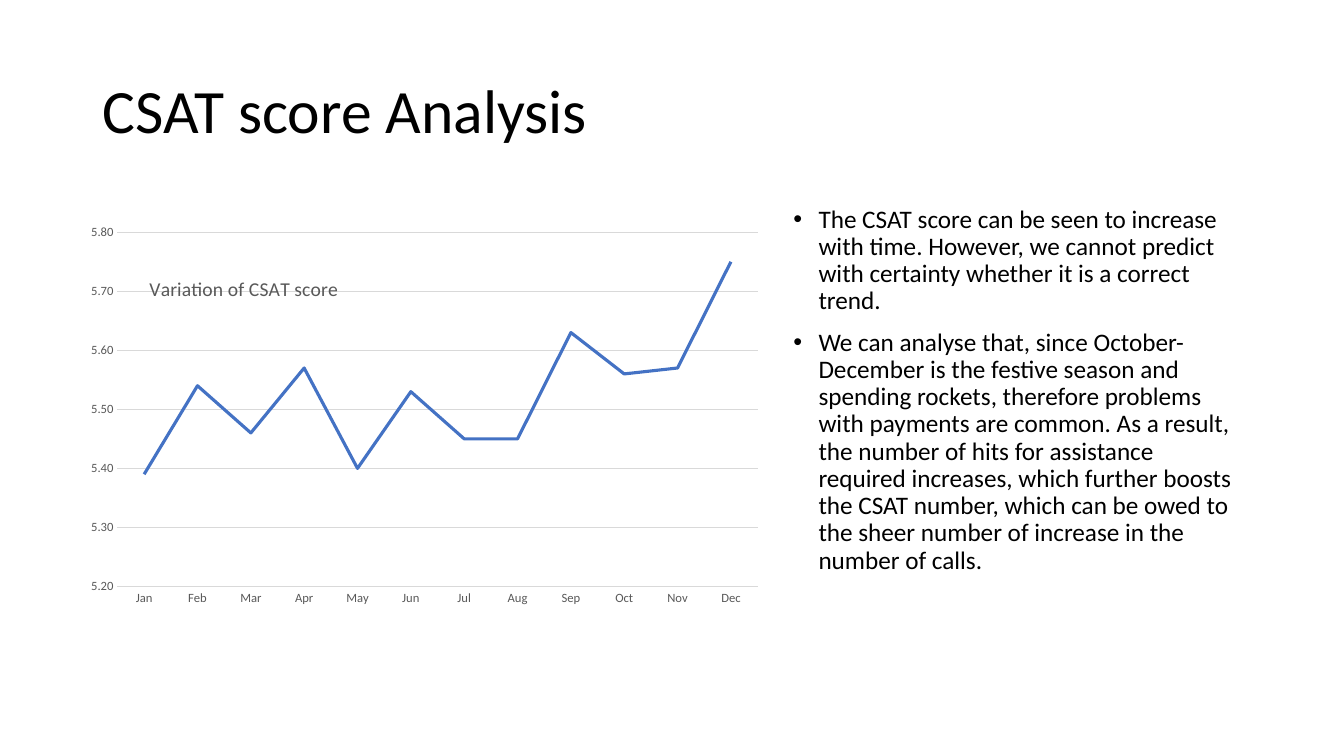
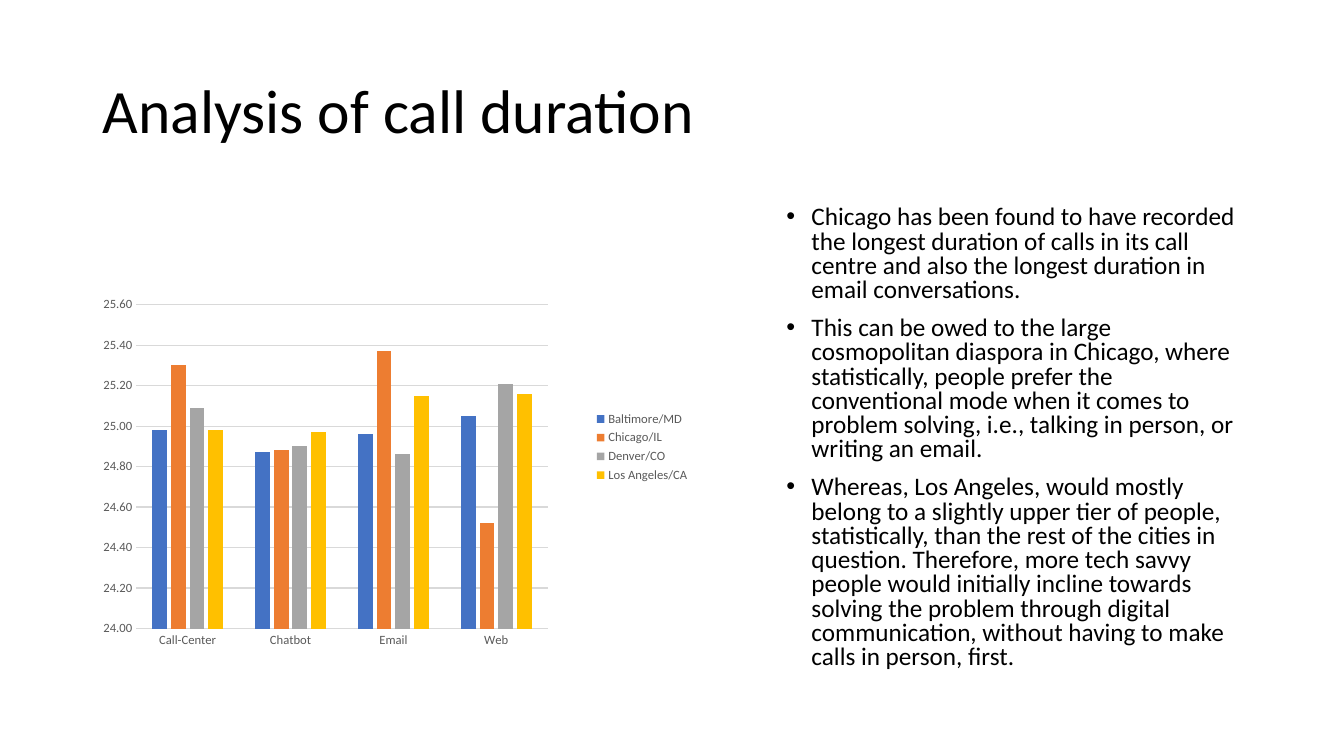
from lxml import etree
from pptx import Presentation
from pptx.chart.data import CategoryChartData
from pptx.dml.color import RGBColor
from pptx.enum.chart import XL_CHART_TYPE as ChartType, XL_LEGEND_POSITION as LegendPosition
from pptx.enum.chart import XL_MARKER_STYLE as MarkerStyle, XL_TICK_MARK as TickMark
from pptx.enum.text import MSO_ANCHOR as Anchor, PP_ALIGN as Align
from pptx.oxml.ns import qn
from pptx.util import Inches, Pt

FONT = "Calibri"
COLORS = {
    "text": "000000", "label": "595959", "grid": "D9D9D9",
    "blue": "4472C4", "orange": "ED7D31", "gray": "A5A5A5", "gold": "FFC000",
}

SLIDES = [
    {
        "title": "CSAT score Analysis",
        "points": [
            "The CSAT score can be seen to increase with time. However, we cannot predict "
            "with certainty whether it is a correct trend.",
            "We can analyse that, since October- December is the festive season and spending "
            "rockets, therefore problems with payments are common. As a result, the number of "
            "hits for assistance required increases, which further boosts the CSAT number, "
            "which can be owed to the sheer number of increase in the number of calls.",
        ],
        "points_box": (7.77, 2, 4.64, 4.76),
        "line_spacing": 0.9,
        "chart": {
            "type": ChartType.LINE,
            "box": (0.46, 2, 7.06, 4.34),
            "plot": (0.1, 0.07, 0.9, 0.81),
            "scale": (5.2, 5.8, 0.1),
            "title": "Variation of CSAT score",
            "title_at": (0.14, 0.16),
            "categories": ["Jan", "Feb", "Mar", "Apr", "May", "Jun",
                           "Jul", "Aug", "Sep", "Oct", "Nov", "Dec"],
            "series": [
                ("Series 1", "blue", [5.39, 5.54, 5.46, 5.57, 5.4, 5.53,
                                      5.45, 5.45, 5.63, 5.56, 5.57, 5.75]),
            ],
        },
    },
    {
        "title": "Analysis of call duration",
        "points": [
            "Chicago has been found to have recorded the longest duration of calls in its call "
            "centre and also the longest duration in email conversations.",
            "This can be owed to the large cosmopolitan diaspora in Chicago, where "
            "statistically, people prefer the conventional mode when it comes to problem "
            "solving, i.e., talking in person, or writing an email.",
            "Whereas, Los Angeles, would mostly belong to a slightly upper tier of people, "
            "statistically, than the rest of the cities in question. Therefore, more tech savvy "
            "people would initially incline towards solving the problem through digital "
            "communication, without having to make calls in person, first.",
        ],
        "points_box": (7.7, 2, 4.71, 4.76),
        "line_spacing": 0.8,
        "chart": {
            "type": ChartType.COLUMN_CLUSTERED,
            "box": (0.66, 2, 6.28, 4.87),
            "plot": (0.11, 0.21, 0.65, 0.66),
            "scale": (24, 25.6, 0.2),
            "categories": ["Call-Center", "Chatbot", "Email", "Web"],
            "series": [
                ("Baltimore/MD", "blue", [24.98, 24.87, 24.96, 25.05]),
                ("Chicago/IL", "orange", [25.3, 24.88, 25.37, 24.52]),
                ("Denver/CO", "gray", [25.09, 24.9, 24.86, 25.21]),
                ("Los Angeles/CA", "gold", [24.98, 24.97, 25.15, 25.16]),
            ],
        },
    },
]


def rgb(name):
    return RGBColor.from_string(COLORS[name])


def inches(box):
    return [Inches(value) for value in box]


def style_font(font, size, color):
    font.name, font.size, font.bold = FONT, Pt(size), False
    font.color.rgb = rgb(color)


def write_text(frame, paragraphs, size=18, color="text", spacing=0.9, before=0,
               anchor=Anchor.TOP, bullet=False):
    frame.word_wrap = True
    frame.vertical_anchor = anchor
    for index, text in enumerate(paragraphs):
        paragraph = frame.add_paragraph() if index else frame.paragraphs[0]
        paragraph.alignment = Align.LEFT
        paragraph.line_spacing = spacing
        paragraph.space_before = Pt(before)
        run = paragraph.add_run()
        run.text = text
        style_font(run.font, size, color)
        if bullet:
            props = paragraph._p.get_or_add_pPr()
            props.set("marL", str(Inches(0.25)))
            props.set("indent", str(-Inches(0.25)))
            etree.SubElement(props, qn("a:buFont")).set("typeface", "Arial")
            etree.SubElement(props, qn("a:buChar")).set("char", "•")


def set_layout(parent, index, **values):
    for old in parent.findall(qn("c:layout")):
        parent.remove(old)
    layout = etree.Element(qn("c:layout"))
    parent.insert(index, layout)
    manual = etree.SubElement(layout, qn("c:manualLayout"))
    for key, value in values.items():
        etree.SubElement(manual, qn(f"c:{key}")).set("val", str(value))


def style_axes(chart, scale):
    months, scores = chart.category_axis, chart.value_axis
    for axis in (months, scores):
        axis.major_tick_mark = axis.minor_tick_mark = TickMark.NONE
        style_font(axis.tick_labels.font, 9, "label")
    months.has_major_gridlines = False
    scores.has_major_gridlines = True
    for line in (months.format.line, scores.major_gridlines.format.line):
        line.color.rgb = rgb("grid")
        line.width = Pt(0.75)
    scores.format.line.fill.background()
    scores.minimum_scale, scores.maximum_scale, scores.major_unit = scale
    scores.tick_labels.number_format = "0.00"
    scores.tick_labels.number_format_is_linked = False


def style_series(chart, series_specs):
    plot = chart.plots[0]
    plot.vary_by_categories = False
    is_line = chart.chart_type == ChartType.LINE
    if not is_line:
        plot.gap_width, plot.overlap = 219, -27
    for series, (_, color, _) in zip(plot.series, series_specs):
        if is_line:
            series.smooth = False
            series.marker.style = MarkerStyle.NONE
            series.format.line.color.rgb = rgb(color)
            series.format.line.width = Pt(2.25)
        else:
            series.format.fill.solid()
            series.format.fill.fore_color.rgb = rgb(color)


def add_chart(slide, spec):
    data = CategoryChartData(number_format="0.00")
    data.categories = spec["categories"]
    for name, _, values in spec["series"]:
        data.add_series(name, values)
    chart = slide.shapes.add_chart(spec["type"], *inches(spec["box"]), data).chart
    style_font(chart.font, 10, "text")
    style_axes(chart, spec["scale"])
    style_series(chart, spec["series"])

    left, top, width, height = spec["plot"]
    set_layout(chart._chartSpace.chart.plotArea, 0, layoutTarget="inner",
               xMode="edge", yMode="edge", x=left, y=top, w=width, h=height)

    chart.has_title = "title" in spec
    if chart.has_title:
        write_text(chart.chart_title.text_frame, [spec["title"]], size=14, color="label",
                   spacing=1.0)
        title = chart.chart_title._element
        x, y = spec["title_at"]
        set_layout(title, 1, xMode="edge", yMode="edge", x=x, y=y)
        title.find(qn("c:overlay")).set("val", "1")

    chart.has_legend = len(spec["series"]) > 1
    if chart.has_legend:
        chart.legend.position = LegendPosition.RIGHT
        chart.legend.include_in_layout = False
        style_font(chart.legend.font, 9, "label")


def add_analysis(deck, spec):
    slide = deck.slides.add_slide(deck.slide_layouts[5])
    title = slide.shapes.title
    title.left, title.top, title.width, title.height = inches((0.92, 0.4, 11.5, 1.45))
    write_text(title.text_frame, [spec["title"]], size=44, anchor=Anchor.MIDDLE)
    points = slide.shapes.add_textbox(*inches(spec["points_box"]))
    write_text(points.text_frame, spec["points"], spacing=spec["line_spacing"],
               before=10, bullet=True)
    add_chart(slide, spec["chart"])


def main():
    deck = Presentation()
    deck.slide_width, deck.slide_height = Inches(13.33), Inches(7.5)
    for spec in SLIDES:
        add_analysis(deck, spec)
    deck.save("out.pptx")


if __name__ == "__main__":
    main()
